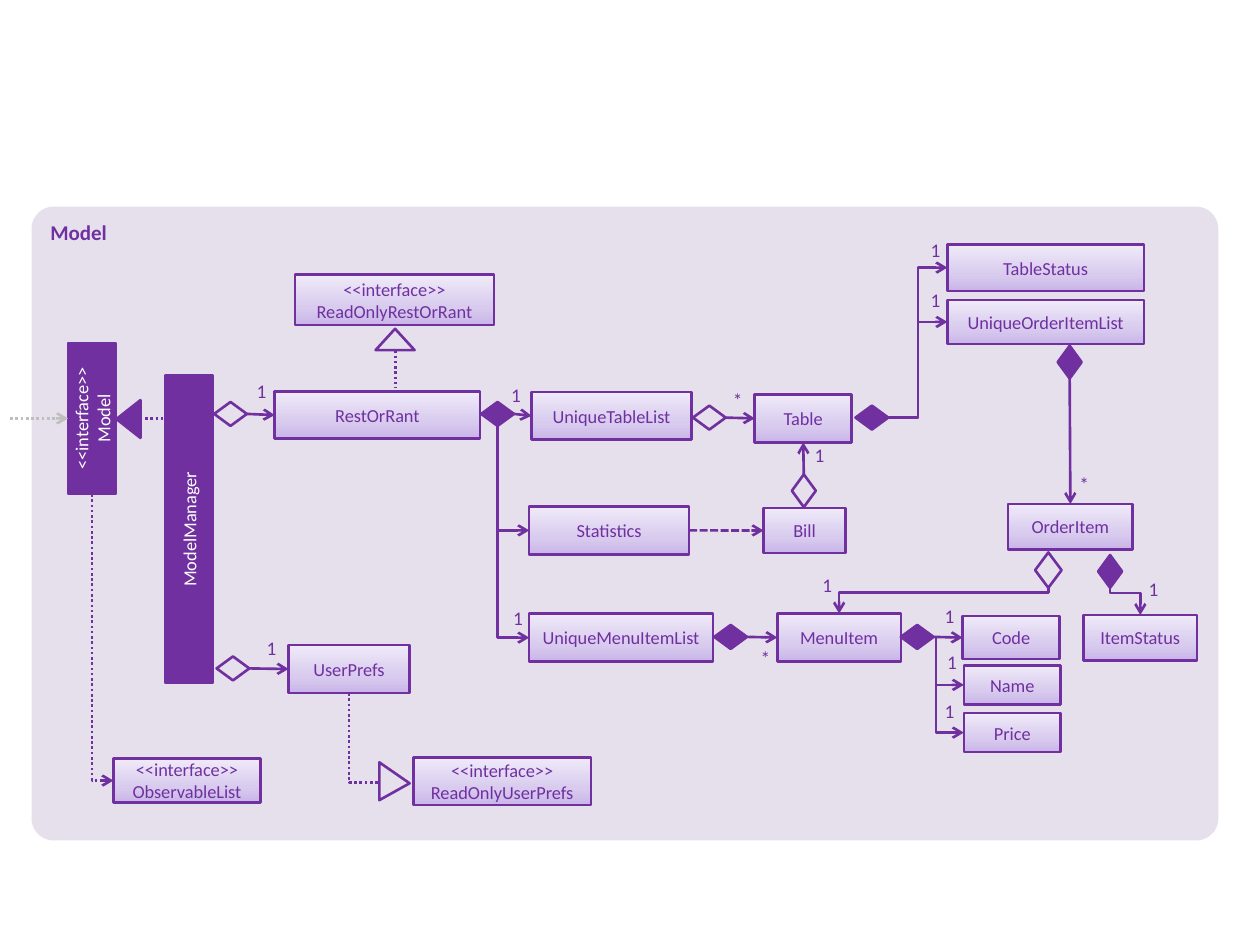
import copy
import math
from dataclasses import dataclass

import pptx
import pptx.dml.color
import pptx.enum.dml
import pptx.enum.shapes
import pptx.enum.text
import pptx.oxml.ns
import pptx.oxml.xmlchemy
import pptx.util

Pt = pptx.util.Pt
RGB = pptx.dml.color.RGBColor.from_string
SHAPE = pptx.enum.shapes.MSO_SHAPE
CXN = pptx.enum.shapes.MSO_CONNECTOR
ALIGN = pptx.enum.text.PP_ALIGN
ANCHOR = pptx.enum.text.MSO_ANCHOR
DASH = pptx.enum.dml.MSO_LINE
qn = pptx.oxml.ns.qn


@dataclass(frozen=True)
class Theme:
    accent: str = "7030A0"
    panel: str = "E6E0EC"
    white: str = "FFFFFF"
    muted: str = "BFBFBF"
    gradient: tuple = ((0, "C9B5E8"), (0.35, "D8CBEE"), (1, "F0EAF9"))
    font: str = "Calibri"
    heading: float = 12
    body: float = 10.5
    label: float = 11
    stroke: float = 1.5


THEME = Theme()
TOP, LEFT, BOTTOM, RIGHT = range(4)
NO_MARGINS = dict.fromkeys(("margin_left", "margin_right", "margin_top", "margin_bottom"), 0)

BOXES = {
    "UserPrefs": (164.9, 368.6, 69.1, 27.4),
    "RestOrRant": (157, 223.9, 117.4, 26.6),
    "UniqueTableList": (303.8, 223.9, 91.4, 27.4),
    "Table": (431.3, 225.4, 55.4, 27.4),
    "TableStatus": (541.4, 139.7, 112.3, 26.6),
    "UniqueOrderItemList": (541.4, 171.4, 112.3, 25.2),
    "<<interface>>\nReadOnlyRestOrRant": (168.5, 157, 113.8, 28.8),
    "<<interface>>\nObservableList": (64.8, 433.4, 84.2, 25.2),
    "<<interface>>\nReadOnlyUserPrefs": (236.2, 432.7, 101.5, 27.4),
    "UniqueMenuItemList": (302.4, 350.6, 105.1, 27.4),
    "MenuItem": (444.2, 350.6, 70.6, 27.4),
    "Code": (550.1, 352.1, 55.4, 24.5),
    "Name": (550.8, 380.2, 55.4, 22.3),
    "Price": (550.8, 407.5, 55.4, 22.3),
    "OrderItem": (576, 288, 71.3, 25.9),
    "ItemStatus": (619.2, 351.4, 64.8, 25.9),
    "Statistics": (302.4, 289.4, 91.4, 27.4),
    "Bill": (436.3, 290.2, 46.8, 25.9),
}
WIDE, TALL = (18.7, 13.7), (13.7, 18.7)
DIAMONDS = {
    "manager-prefs": (123.8, 375.1, *WIDE, None),
    "manager-rest": (122.4, 229.7, *WIDE, None),
    "rest": (275, 229.7, *WIDE, THEME.accent),
    "table-list": (396, 231.8, *WIDE, None),
    "table": (488.9, 231.8, *WIDE, THEME.accent),
    "menu-list": (408.2, 357.1, *WIDE, THEME.accent),
    "menu-item": (514.8, 357.1, *WIDE, THEME.accent),
    "order-list": (604.4, 197.6, *TALL, THEME.accent),
    "order-status": (627.5, 317.2, *TALL, THEME.accent),
    "order-menu": (591.5, 315.7, 15.1, 20.2, None),
    "bill": (452.5, 271.1, *TALL, None),
}
LABELS = {
    "1": [(287.3, 218.9), (141.9, 216.7), (147.6, 363.6), (527, 136.1), (527, 164.9),
          (288.4, 346.3), (535, 345.6), (536.4, 371.5), (535, 399.6), (465.1, 327.6),
          (651.6, 329.8), (460.8, 253.4)],
    "*": [(414, 221.8), (429.8, 369.4), (612, 270)],
}


def assign(obj, values):
    for name, value in values.items():
        setattr(obj, name, value)


def write(sp, text, size, color, align=ALIGN.CENTER, bold=False, frame=None):
    tf = sp.text_frame
    tf.text = text
    assign(tf, {"word_wrap": True, **(frame or {})})
    for p in tf.paragraphs:
        p.alignment = align
        for r in p.runs:
            assign(r.font, {"name": THEME.font, "size": Pt(size), "bold": bold})
            r.font.color.rgb = RGB(color)


def shape(s, kind, x, y, w, h, fill=None, rotation=0, outlined=True):
    sp = s.shapes.add_shape(kind, Pt(x), Pt(y), Pt(w), Pt(h))
    sp.shadow.inherit = False
    sp.rotation = rotation
    if fill:
        sp.fill.solid()
        sp.fill.fore_color.rgb = RGB(fill)
    else:
        sp.fill.background()
    if outlined:
        sp.line.color.rgb = RGB(THEME.accent)
        sp.line.width = Pt(THEME.stroke)
    else:
        sp.line.fill.background()
    return sp


def shade(sp):
    sp.fill.gradient()
    sp.fill.gradient_angle = 90
    stops = sp._element.spPr.find(".//" + qn("a:gsLst"))
    stops.append(copy.deepcopy(stops[-1]))
    for stop, (position, color) in zip(sp.fill.gradient_stops, THEME.gradient):
        stop.position = position
        stop.color.rgb = RGB(color)


def box(s, text, bounds, solid=False):
    sp = shape(s, SHAPE.RECTANGLE, *bounds, fill=THEME.accent, rotation=270 if solid else 0)
    if not solid:
        shade(sp)
    write(sp, text, THEME.body, THEME.white if solid else THEME.accent,
          frame={"vertical_anchor": ANCHOR.MIDDLE, **NO_MARGINS})
    return sp


def label(s, text, x, y):
    sp = s.shapes.add_textbox(Pt(x), Pt(y), Pt(15.1), Pt(14.4))
    write(sp, text, THEME.label, THEME.accent, frame=NO_MARGINS)


def locate(end):
    if isinstance(end[0], (int, float)):
        return end
    sp, site = end
    w, h = sp.width.pt / 2, sp.height.pt / 2
    dx, dy = ((0, -h), (-w, 0), (0, h), (w, 0))[site]
    a = math.radians(sp.rotation)
    return (sp.left.pt + w + dx * math.cos(a) - dy * math.sin(a),
            sp.top.pt + h + dx * math.sin(a) + dy * math.cos(a))


def stroke(c, color, dash, arrow):
    c.line.color.rgb = RGB(color)
    assign(c.line, {"width": Pt(THEME.stroke), "dash_style": dash})
    if arrow:
        ln = c.line._get_or_add_ln()
        ln.append(ln.makeelement(qn("a:tailEnd"), {"type": "arrow"}))
    spPr = c._element.spPr
    spPr.append(spPr.makeelement(qn("a:effectLst"), {}))


def line(s, start, end, color=THEME.accent, dash=None, arrow=True):
    (x1, y1), (x2, y2) = locate(start), locate(end)
    c = s.shapes.add_connector(CXN.STRAIGHT, Pt(x1), Pt(y1), Pt(x2), Pt(y2))
    if (x1, y1) != start:
        c.begin_connect(*start)
    if (x2, y2) != end:
        c.end_connect(*end)
    assign(c, {"begin_x": Pt(x1), "begin_y": Pt(y1), "end_x": Pt(x2), "end_y": Pt(y2)})
    stroke(c, color, dash, arrow)


def elbow(s, start, end, bend=None, downward=False, dash=None, arrow=True):
    (x1, y1), (x2, y2) = locate(start), locate(end)
    if downward:
        cx, cy, w, h = (x1 + x2) / 2, (y1 + y2) / 2, y2 - y1, x1 - x2
        x1, y1, x2, y2 = cx - w / 2, cy - h / 2, cx + w / 2, cy + h / 2
    c = s.shapes.add_connector(CXN.ELBOW, Pt(x1), Pt(y1), Pt(x2), Pt(y2))
    spPr = c._element.spPr
    geom = spPr.find(qn("a:prstGeom"))
    if downward:
        spPr.find(qn("a:xfrm")).set("rot", "5400000")
    if bend is None:
        geom.set("prst", "bentConnector2")
    else:
        av = geom.find(qn("a:avLst"))
        av.append(av.makeelement(qn("a:gd"), {"name": "adj1", "fmla": f"val {round(bend * 100000)}"}))
    stroke(c, THEME.accent, dash, arrow)


def main():
    prs = pptx.Presentation()
    assign(prs, {"slide_width": Pt(720), "slide_height": Pt(540)})
    s = prs.slides.add_slide(prs.slide_layouts[6])

    panel = shape(s, SHAPE.ROUNDED_RECTANGLE, 18, 118.1, 678.2, 362.2, THEME.panel, outlined=False)
    panel.adjustments[0] = 0.035
    write(panel, "Model", THEME.heading, THEME.accent, ALIGN.LEFT, True,
          {"vertical_anchor": ANCHOR.TOP})

    box(s, "ModelManager", (20.2, 288.7, 175.7, 27.4), solid=True)
    model = box(s, "<<interface>>\nModel", (9.4, 225.4, 86.4, 27.4), solid=True)
    b = {text.split("\n")[-1]: box(s, text, bounds) for text, bounds in BOXES.items()}
    d = {name: shape(s, SHAPE.FLOWCHART_DECISION, *v) for name, v in DIAMONDS.items()}

    shape(s, SHAPE.ISOSCELES_TRIANGLE, 62.6, 232.6, 21.6, 13.7, THEME.accent, 270)
    shape(s, SHAPE.ISOSCELES_TRIANGLE, 214.6, 187.9, 22.3, 12.2, THEME.panel)
    prefs_head = shape(s, SHAPE.ISOSCELES_TRIANGLE, 214.6, 437.8, 21.6, 17.3, THEME.panel, 90)
    prefs_head.adjustments[0] = 0.555

    for name, site, target, side in (
        ("manager-prefs", RIGHT, "UserPrefs", LEFT),
        ("manager-rest", RIGHT, "RestOrRant", LEFT),
        ("rest", RIGHT, "UniqueTableList", LEFT),
        ("table-list", RIGHT, "Table", LEFT),
        ("menu-list", RIGHT, "MenuItem", LEFT),
        ("menu-item", RIGHT, "Code", LEFT),
        ("order-list", BOTTOM, "OrderItem", TOP),
        ("bill", TOP, "Table", BOTTOM),
    ):
        line(s, (d[name], site), (b[target], side))
    line(s, (b["Statistics"], RIGHT), (b["Bill"], LEFT), dash=DASH.SQUARE_DOT)
    line(s, (5.8, 239.1), (model, TOP), THEME.muted, DASH.ROUND_DOT)
    line(s, (79.9, 239.1), (97.2, 239.1), dash=DASH.ROUND_DOT, arrow=False)
    line(s, (226.1, 200.2), (226.1, 221.8), dash=DASH.ROUND_DOT, arrow=False)

    for name, target, bend in (("table", "TableStatus", 0.5), ("table", "UniqueOrderItemList", 0.5),
                               ("menu-item", "Name", 0.085), ("menu-item", "Price", 0.085)):
        elbow(s, (d[name], RIGHT), (b[target], LEFT), bend)
    for name, target, side, bend in (("rest", "Statistics", LEFT, None),
                                     ("rest", "UniqueMenuItemList", LEFT, None),
                                     ("order-menu", "MenuItem", TOP, 0.17),
                                     ("order-status", "ItemStatus", TOP, 0.19)):
        elbow(s, (d[name], BOTTOM), (b[target], side), bend, downward=True)
    elbow(s, (model, LEFT), (b["ObservableList"], LEFT), downward=True, dash=DASH.ROUND_DOT)
    elbow(s, (b["UserPrefs"], BOTTOM), (216.7, 447.1), downward=True, dash=DASH.ROUND_DOT,
          arrow=False)

    for text, places in LABELS.items():
        for x, y in places:
            label(s, text, x, y)
    prs.save("out.pptx")


if __name__ == "__main__":
    main()
